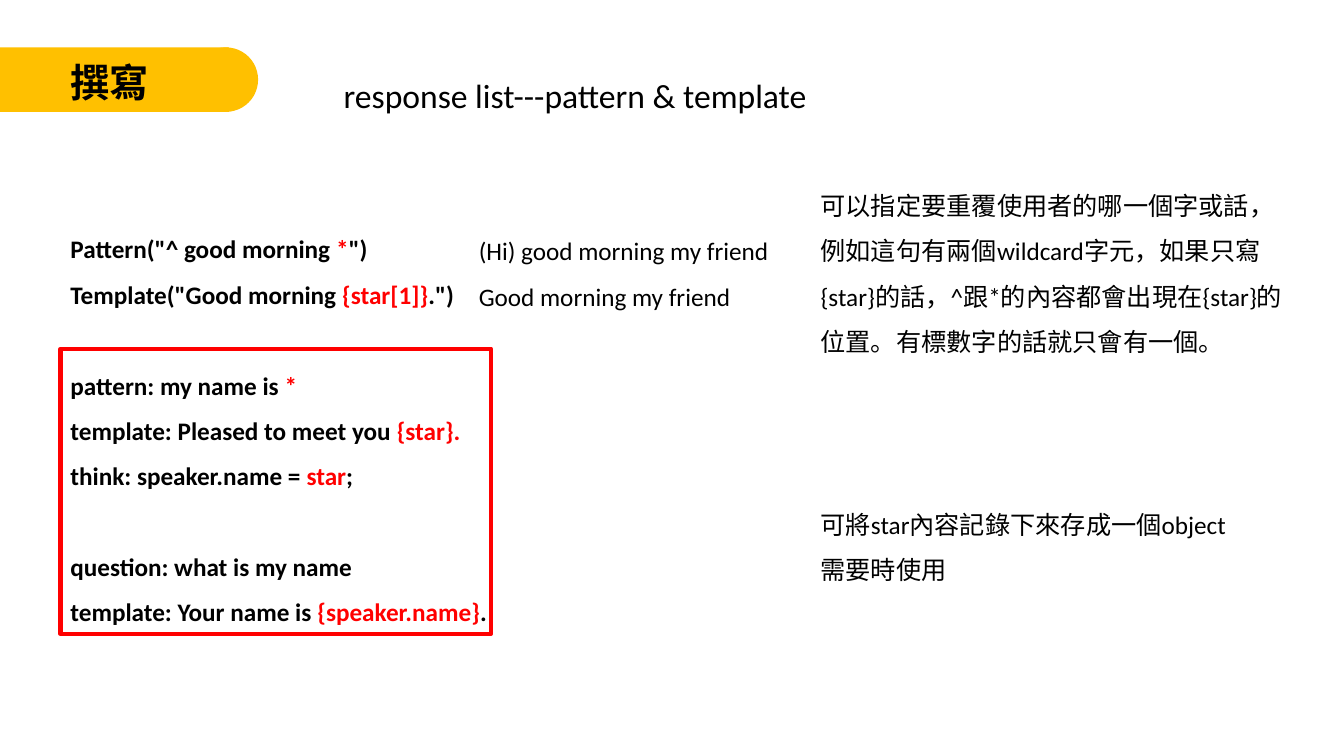
import pptx
import pptx.util
import pptx.dml.color
import pptx.enum.shapes
import pptx.enum.text

Inches = pptx.util.Inches
Pt = pptx.util.Pt
RGBColor = pptx.dml.color.RGBColor
MSO_SHAPE = pptx.enum.shapes.MSO_SHAPE

AMBER = RGBColor(0xFF, 0xC0, 0x00)
RED = RGBColor(0xFF, 0x00, 0x00)
BLACK = RGBColor(0x00, 0x00, 0x00)
BLANK_LINE = Pt(32.4)

presentation = pptx.Presentation()
presentation.slide_width = Inches(13.33)
presentation.slide_height = Inches(7.5)
slide = presentation.slides.add_slide(presentation.slide_layouts[6])


def add_text(box, paragraphs, size=18, bold=False, line_spacing=1.5, gaps=()):
    text_box = slide.shapes.add_textbox(*[Inches(value) for value in box])
    text_frame = text_box.text_frame
    text_frame.word_wrap = True
    text_frame.auto_size = pptx.enum.text.MSO_AUTO_SIZE.SHAPE_TO_FIT_TEXT
    for index, parts in enumerate(paragraphs):
        paragraph = text_frame.paragraphs[0] if index == 0 else text_frame.add_paragraph()
        paragraph.line_spacing = line_spacing
        if index in gaps:
            paragraph.space_before = BLANK_LINE
        for part_index, part in enumerate(parts):
            run = paragraph.add_run()
            run.text = part
            run.font.name = "Calibri"
            run.font.size = Pt(size)
            run.font.bold = bold
            run.font.color.rgb = RED if part_index % 2 else BLACK


for preset, left, width in [(MSO_SHAPE.OVAL, 1.92, 0.64), (MSO_SHAPE.RECTANGLE, 0, 2.27)]:
    tab = slide.shapes.add_shape(preset, Inches(left), Inches(0.47), Inches(width), Inches(0.64))
    tab.shadow.inherit = False
    tab.fill.solid()
    tab.fill.fore_color.rgb = AMBER
    tab.line.fill.background()

add_text((0.6, 0.53, 1.36, 0.57), [["撰寫"]], size=28, bold=True, line_spacing=1.0)
add_text((3.31, 0.49, 7.31, 0.64), [["response list---pattern & template"]], size=24)

script_lines = [
    ['Pattern("^ good morning ', "*", '")'],
    ['Template("Good morning ', "{star[1]}", '.")'],
    ["pattern: my name is ", "*"],
    ["template: Pleased to meet you ", "{star}."],
    ["think: speaker.name = ", "star", ";"],
    ["question: what is my name"],
    ["template: Your name is ", "{speaker.name}", "."],
]
add_text((0.6, 2.12, 4.82, 4.14), script_lines, bold=True, gaps=(2, 5))

add_text((8.04, 1.69, 4.82, 1.87), [[
    "可以指定要重覆使用者的哪一個字或話，例如這句有兩個wildcard字元，如果只寫"
    "{star}的話，^跟*的內容都會出現在{star}的位置。有標數字的話就只會有一個。"
]])
add_text((4.65, 2.14, 3.25, 0.96), [["(Hi) good morning my friend"], ["Good morning my friend"]])
add_text((8.04, 4.85, 4.82, 0.96), [["可將star內容記錄下來存成一個object"], ["需要時使用"]])

highlight = slide.shapes.add_shape(
    MSO_SHAPE.RECTANGLE, Inches(0.6), Inches(3.46), Inches(4.27), Inches(2.83))
highlight.shadow.inherit = False
highlight.fill.background()
highlight.line.color.rgb = RED
highlight.line.width = Pt(3)

presentation.save("out.pptx")
